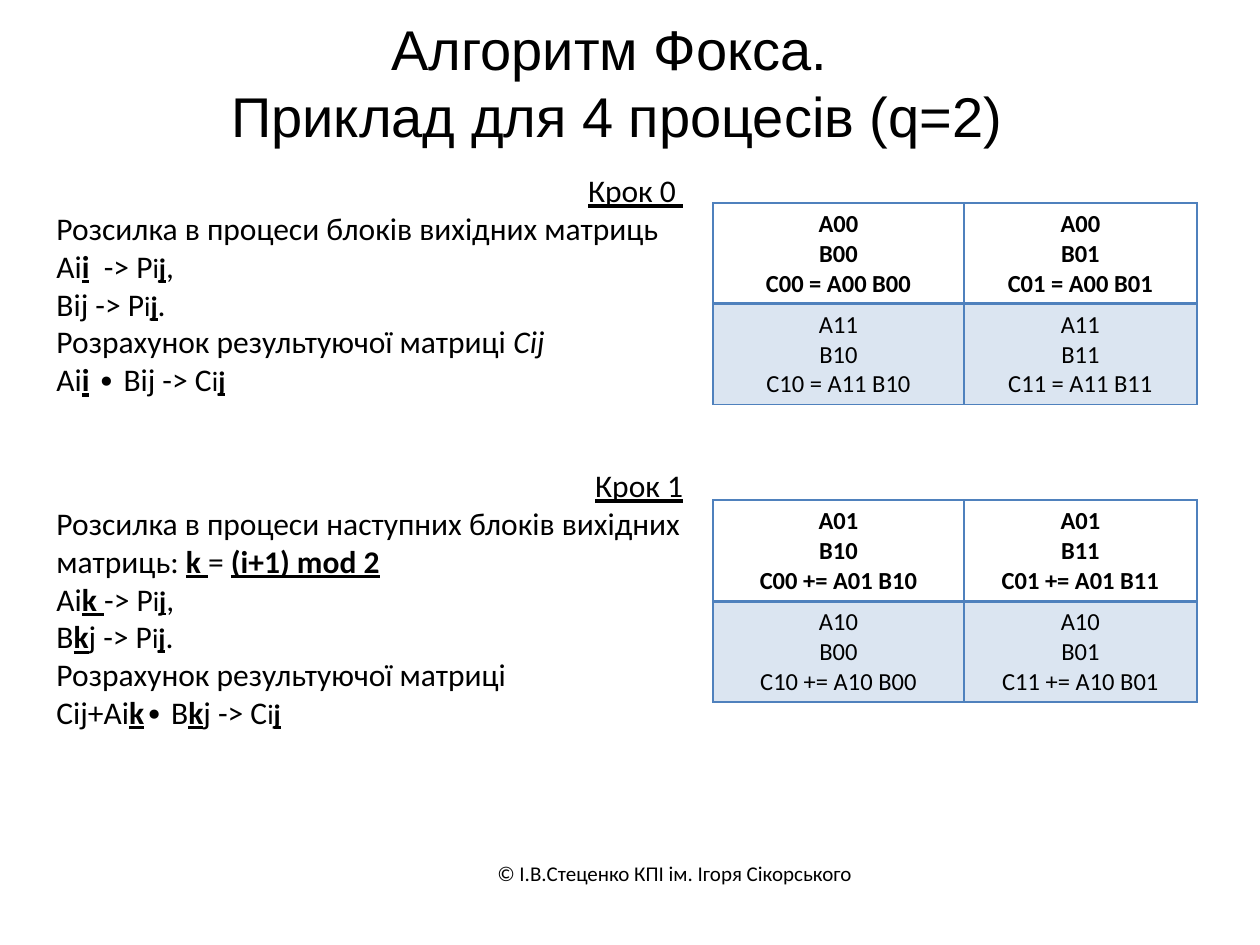
"""Build the slide on Fox's algorithm with an example for four processes."""
from lxml import etree
from pptx import Presentation
from pptx.dml.color import RGBColor
from pptx.enum.text import MSO_ANCHOR, PP_ALIGN
from pptx.oxml.ns import qn
from pptx.util import Inches, Pt

CENTER, LEFT, RIGHT = PP_ALIGN.CENTER, PP_ALIGN.LEFT, PP_ALIGN.RIGHT
TOP, MIDDLE = MSO_ANCHOR.TOP, MSO_ANCHOR.MIDDLE
COLORS = {"text": "000000", "accent": "4F81BD"}
BODY_FONT, TITLE_FONT = "Calibri", "Arial"

TITLE = ["Алгоритм Фокса. ", "Приклад для 4 процесів (q=2)"]
FOOTER = "© І.В.Стеценко КПІ ім. Ігоря Сікорського"
IJ = [("i", "s"), ("j", "sbu")]
STEPS = [
    {
        "top": 1.31, "height": 1.92, "grid_top": 1.61,
        "heading": "Крок 0 ",
        "lines": [
            [("Розсилка в процеси блоків вихідних матриць", "")],
            [("Аi", ""), ("i", "bu"), ("  -> P", ""), *IJ, (",", "")],
            [("Bij -> P", ""), *IJ, (".", "")],
            [("Розрахунок результуючої матриці ", ""), ("Сij", "i")],
            [("Аi", ""), ("i", "bu"), (" ∙ Bij -> С", ""), *IJ],
        ],
        "blocks": [
            [("А00", "B00", "С00 = А00 B00"), ("А00", "B01", "С01 = А00 B01")],
            [("А11", "B10", "С10 = А11 B10"), ("А11", "B11", "С11 = А11 B11")],
        ],
    },
    {
        "top": 3.65, "height": 2.22, "grid_top": 3.97,
        "heading": "Крок 1",
        "lines": [
            [("Розсилка в процеси наступних блоків вихідних матриць: ", ""),
             ("k ", "bu"), ("= ", ""), ("(i+1) mod 2", "bu")],
            [("Аi", ""), ("k ", "bu"), ("-> P", ""), *IJ, (",", "")],
            [("B", ""), ("k", "bu"), ("j -> P", ""), *IJ, (".", "")],
            [("Розрахунок результуючої матриці", "")],
            [("Сij+Аi", ""), ("k", "bu"), ("∙ B", ""), ("k", "bu"), ("j -> С", ""), *IJ],
        ],
        "blocks": [
            [("А01", "B10", "С00 += А01 B10"), ("А01", "B11", "С01 += А01 B11")],
            [("А10", "B00", "С10 += А10 B00"), ("А10", "B01", "С11 += А10 B01")],
        ],
    },
]
STEP_LEFT, STEP_WIDTH = 0.35, 5.17
GRID_LEFT, GRID_COLUMNS, GRID_ROW = 5.66, (1.99, 1.85), 0.8


def add_run(paragraph, text, size, style="", font=BODY_FONT):
    run = paragraph.add_run()
    run.text = text
    run.font.name = font
    run.font.size = Pt(size - 2 if "s" in style else size)
    run.font.bold = "b" in style
    run.font.italic = "i" in style
    run.font.underline = "u" in style
    run.font.color.rgb = RGBColor.from_string(COLORS["text"])


def add_paragraph(frame, index, align):
    paragraph = frame.add_paragraph() if index else frame.paragraphs[0]
    paragraph.alignment = align
    return paragraph


def add_frame(slide, box, anchor=TOP):
    frame = slide.shapes.add_textbox(*map(Inches, box)).text_frame
    frame.word_wrap = True
    frame.vertical_anchor = anchor
    return frame


def set_border(cell, side, width):
    line = etree.SubElement(cell._tc.get_or_add_tcPr(), qn(f"a:ln{side}"), w=str(Pt(width)))
    fill = etree.SubElement(line, qn("a:solidFill"))
    etree.SubElement(fill, qn("a:srgbClr"), val=COLORS["accent"])


def set_tint(cell, percent):
    cell.fill.solid()
    cell.fill.fore_color.rgb = RGBColor.from_string(COLORS["accent"])
    color = cell._tc.tcPr.find(qn("a:solidFill")).find(qn("a:srgbClr"))
    etree.SubElement(color, qn("a:alpha"), val=str(percent * 1000))


def add_step(slide, step):
    frame = add_frame(slide, (STEP_LEFT, step["top"], STEP_WIDTH, step["height"]))
    for index, line in enumerate([[(step["heading"], "u")], *step["lines"]]):
        paragraph = add_paragraph(frame, index, LEFT if index else RIGHT)
        for text, style in line:
            add_run(paragraph, text, 18, style)


def add_grid(slide, step):
    blocks = step["blocks"]
    box = (GRID_LEFT, step["grid_top"], sum(GRID_COLUMNS), GRID_ROW * len(blocks))
    grid = slide.shapes.add_table(len(blocks), len(GRID_COLUMNS), *map(Inches, box)).table
    grid.first_row = grid.horz_banding = False
    for column, width in zip(grid.columns, GRID_COLUMNS):
        column.width = Inches(width)
    for row, processes in enumerate(blocks):
        for column, process in enumerate(processes):
            cell = grid.cell(row, column)
            for side, width in zip("LRTB", (1, 1, 2, 1) if row else (1, 1, 1, 2)):
                set_border(cell, side, width)
            if row:
                set_tint(cell, 20)
            else:
                cell.fill.background()
            for index, text in enumerate(process):
                paragraph = add_paragraph(cell.text_frame, index, CENTER)
                add_run(paragraph, text, 14, "" if row else "b")


def main():
    deck = Presentation()
    deck.slide_width, deck.slide_height = Inches(10), Inches(7.5)
    slide = deck.slides.add_slide(deck.slide_layouts[6])

    title = add_paragraph(add_frame(slide, (0, 0.28, 9.8, 0.74), MIDDLE), 0, CENTER)
    for index, text in enumerate(TITLE):
        if index:
            title.add_line_break()
        add_run(title, text, 32, font=TITLE_FONT)

    for step in STEPS:
        add_step(slide, step)
        add_grid(slide, step)

    footer = add_paragraph(add_frame(slide, (3.66, 6.78, 3.39, 0.3)), 0, CENTER)
    add_run(footer, FOOTER, 12)
    deck.save("out.pptx")


if __name__ == "__main__":
    main()
